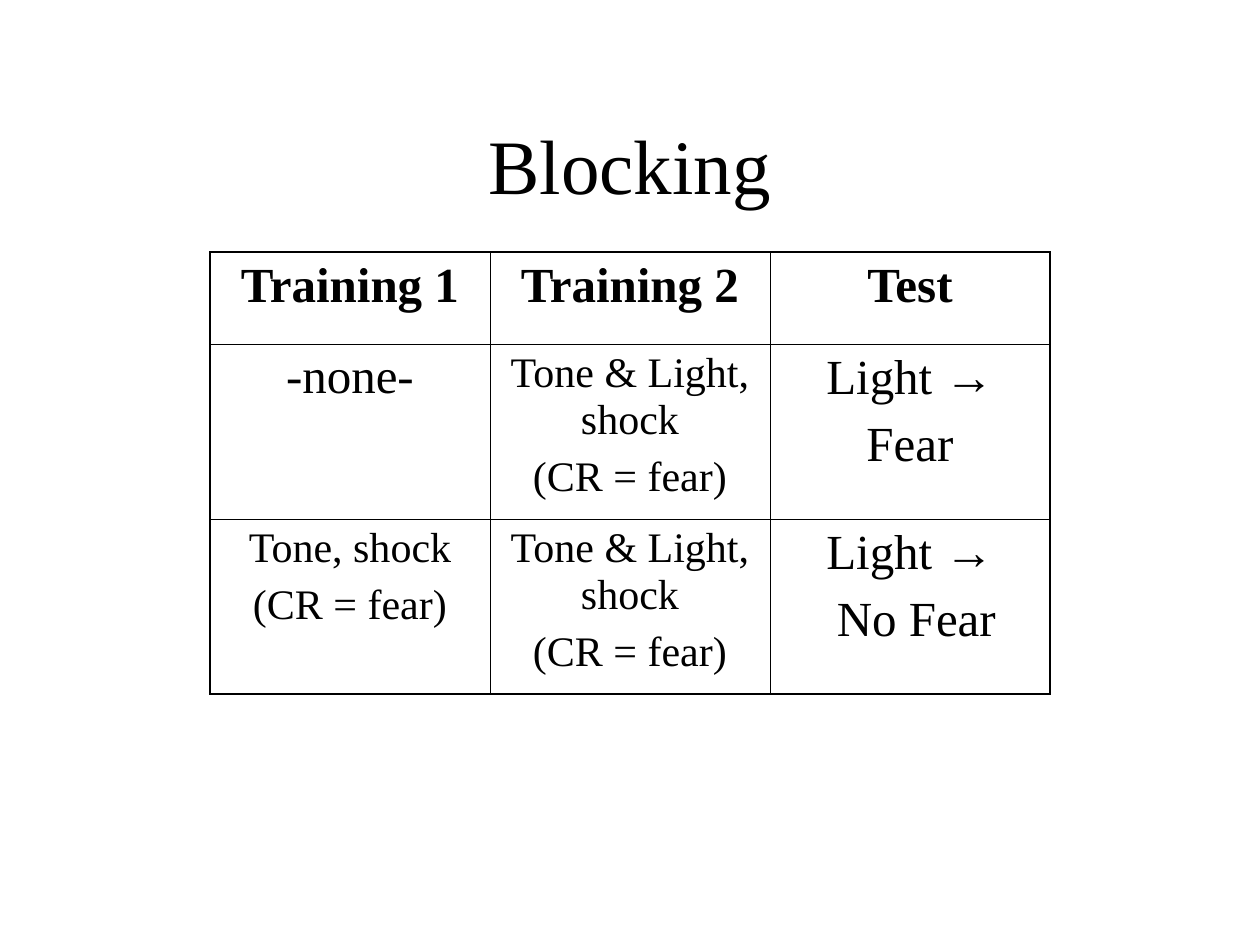
"""Builds the slide on blocking: a title above a table of training and test phases."""

from lxml.etree import SubElement
from pptx import Presentation
from pptx.dml.color import RGBColor
from pptx.enum.text import MSO_ANCHOR, PP_ALIGN
from pptx.oxml.ns import qn
from pptx.util import Inches, Pt

COLORS = {"ink": "000000", "paper": "FFFFFF"}
SERIF, SANS = "Times New Roman", "Arial"
SLIDE_WIDTH, SLIDE_HEIGHT = 10, 7.5
TITLE = "Blocking"
TITLE_SIZE, LARGE, SMALL = 44, 28, 24
SPACE_BEFORE = {LARGE: 7, SMALL: 6}
OUTER, INNER = 1.08, 0.45
ROW_HEIGHTS = [0.73, 1.39, 1.39]
NUDGED = {"No Fear": 0.1}

COMPOUND = (SMALL, ["Tone & Light, shock", "(CR = fear)"])
ROWS = [
    [(LARGE, ["Training 1"]), (LARGE, ["Training 2"]), (LARGE, ["Test"])],
    [(LARGE, ["-none-"]), COMPOUND, (LARGE, ["Light →", "Fear"])],
    [(SMALL, ["Tone, shock", "(CR = fear)"]), COMPOUND, (LARGE, ["Light →", "No Fear"])],
]


def add_span(para, text, size, bold, font):
    span = para.add_run()
    span.text = text
    span.font.name = font
    span.font.size = Pt(size)
    span.font.bold = bold
    span.font.color.rgb = RGBColor.from_string(COLORS["ink"])


def write(frame, lines, size, bold=False):
    for index, line in enumerate(lines):
        para = frame.add_paragraph() if index else frame.paragraphs[0]
        para.alignment = PP_ALIGN.CENTER
        if index:
            para.space_before = Pt(SPACE_BEFORE[size])
        if line in NUDGED:
            para._p.get_or_add_pPr().set("marL", str(Inches(NUDGED[line])))
        words, arrow, _ = line.partition("→")
        add_span(para, words, size, bold, SERIF)
        if arrow:
            add_span(para, arrow, size, bold, SANS)


def set_borders(cell, widths):
    properties = cell._tc.get_or_add_tcPr()
    for side, width in widths.items():
        line = SubElement(properties, qn(f"a:ln{side}"), w=str(Pt(width)))
        fill = SubElement(line, qn("a:solidFill"))
        SubElement(fill, qn("a:srgbClr"), val=COLORS["ink"])


def add_title(page):
    box = page.shapes.add_textbox(Inches(0.75), Inches(0.67), Inches(8.5), Inches(1.25))
    box.text_frame.word_wrap = True
    box.text_frame.vertical_anchor = MSO_ANCHOR.MIDDLE
    write(box.text_frame, [TITLE], TITLE_SIZE)


def add_phases(page):
    row_count, column_count = len(ROWS), len(ROWS[0])
    table = page.shapes.add_table(
        row_count, column_count,
        Inches(SLIDE_WIDTH / 6), Inches(2),
        Inches(SLIDE_WIDTH * 2 / 3), Inches(sum(ROW_HEIGHTS)),
    ).table
    table.first_row = table.horz_banding = False
    for row, height in zip(table.rows, ROW_HEIGHTS):
        row.height = Inches(height)
    for r, row in enumerate(ROWS):
        for c, (size, lines) in enumerate(row):
            cell = table.cell(r, c)
            set_borders(cell, {
                "L": OUTER if c == 0 else INNER,
                "R": OUTER if c == column_count - 1 else INNER,
                "T": OUTER if r == 0 else INNER,
                "B": OUTER if r == row_count - 1 else INNER,
            })
            cell.fill.background()
            write(cell.text_frame, lines, size, bold=r == 0)


def main():
    deck = Presentation()
    deck.slide_width, deck.slide_height = Inches(SLIDE_WIDTH), Inches(SLIDE_HEIGHT)
    page = deck.slides.add_slide(deck.slide_layouts[6])
    page.background.fill.solid()
    page.background.fill.fore_color.rgb = RGBColor.from_string(COLORS["paper"])
    add_title(page)
    add_phases(page)
    deck.save("out.pptx")


if __name__ == "__main__":
    main()
